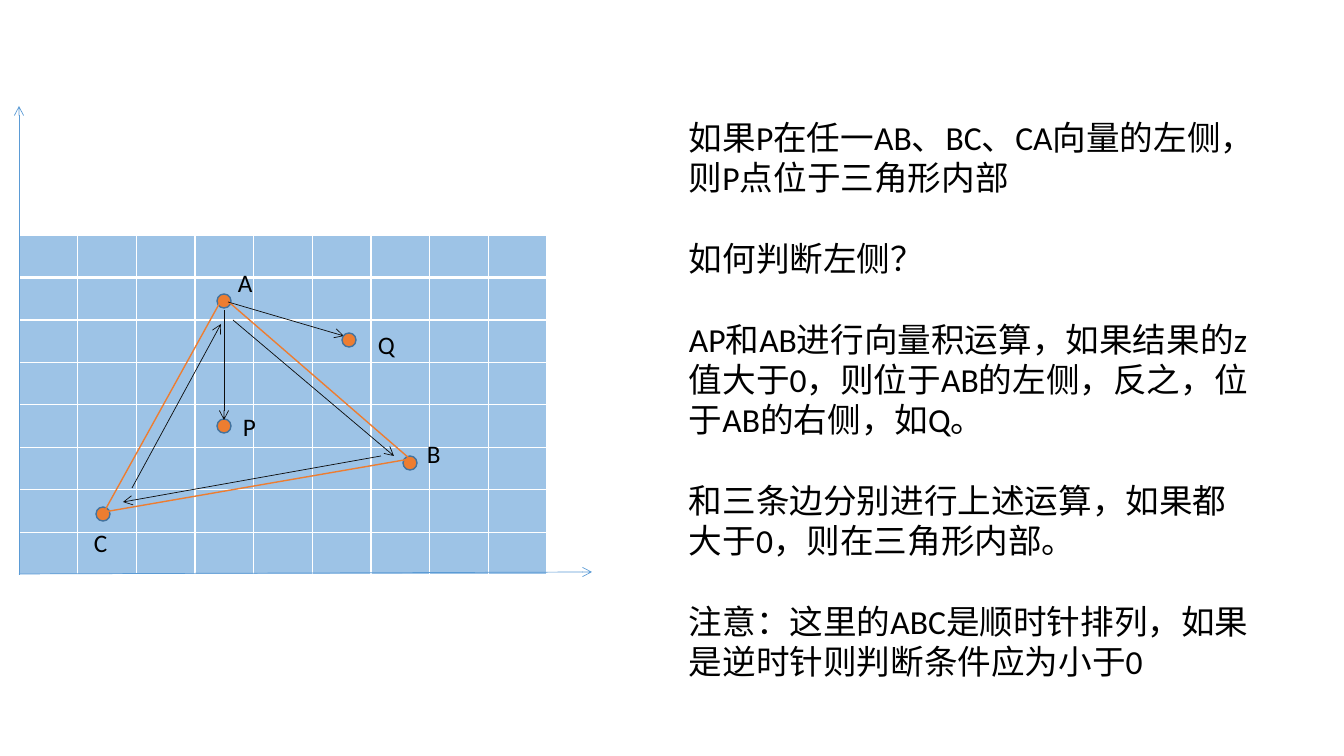
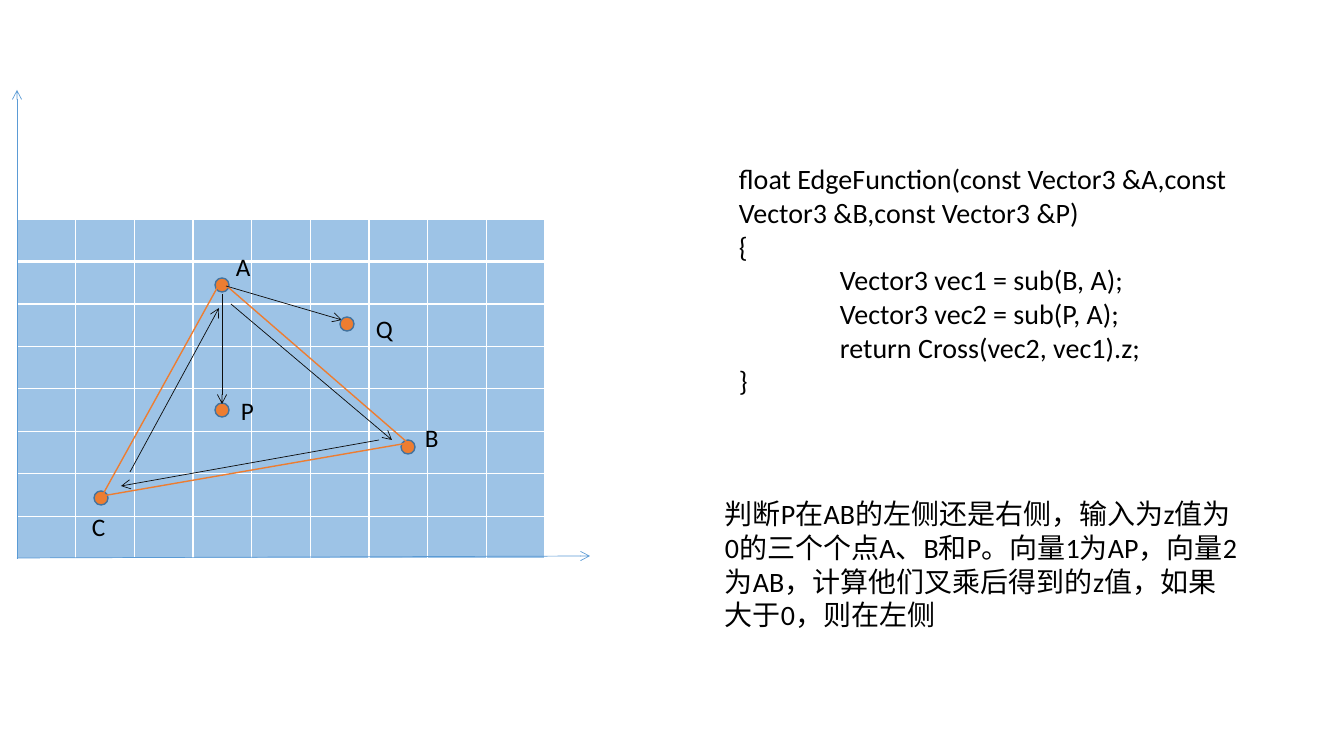
from dataclasses import dataclass

from lxml import etree
from pptx import Presentation
from pptx.dml.color import RGBColor
from pptx.enum.lang import MSO_LANGUAGE_ID
from pptx.enum.shapes import MSO_CONNECTOR, MSO_SHAPE
from pptx.enum.text import MSO_AUTO_SIZE
from pptx.oxml.ns import qn
from pptx.util import Pt

CHINESE = MSO_LANGUAGE_ID.SIMPLIFIED_CHINESE
STRAIGHT = MSO_CONNECTOR.STRAIGHT
OVAL = MSO_SHAPE.OVAL
FIT_TEXT = MSO_AUTO_SIZE.SHAPE_TO_FIT_TEXT

# Content: diagram lengths are pixels from the grid's top left corner
GRID_SIZE, COLS, ROWS = (528, 340), 9, 8
AXES = [((0, 339), (573, 337)), ((0, 340), (0, -129))]
POINTS = {  # name: dot centre, label corner
    "A": ((205, 66), (209, 27)),
    "B": ((391, 228), (398, 198)),
    "C": ((84, 279), (65, 287)),
    "P": ((205, 191), (214, 171)),
    "Q": ((330, 105), (349, 89)),
}
TRIANGLE = [(85, 277), (204, 62), (391, 224)]
VECTORS = [
    ((214, 85), (375, 221)),   # AB
    ((362, 221), (104, 267)),  # BC
    ((113, 253), (202, 89)),   # CA
    ((205, 75), (205, 185)),   # AP
    ((209, 67), (325, 101)),   # AQ
]
DOT = 14
LABEL_SIZE = (85, 40)
CODE_INDENT = 101

RULES = [
    "如果P在任一AB、BC、CA向量的左侧，则P点位于三角形内部",
    "如何判断左侧？",
    "AP和AB进行向量积运算，如果结果的z值大于0，则位于AB的左侧，反之，位于AB的右侧，如Q。",
    "和三条边分别进行上述运算，如果都大于0，则在三角形内部。",
    "注意：这里的ABC是顺时针排列，如果是逆时针则判断条件应为小于0",
]
CODE = [
    "float EdgeFunction(const Vector3 &A,const Vector3 &B,const Vector3 &P)",
    "{",
    ("Vector3 vec1 = sub(B, A);",),  # a tuple marks an indented line
    ("Vector3 vec2 = sub(P, A);",),
    ("return Cross(vec2, vec1).z;",),
    "}",
]
SUMMARY = [
    "判断P在AB的左侧还是右侧，输入为z值为0的三个个点A、B和P。"
    "向量1为AP，向量2为AB，计算他们叉乘后得到的z值，如果大于0，则在左侧",
]


@dataclass(frozen=True)
class Theme:
    font: str = "Calibri"
    text: str = "000000"
    grid: str = "9DC3E6"
    grid_line: str = "FFFFFF"
    axis: str = "5B9BD5"
    vector: str = "0D0D0D"
    accent: str = "ED7D31"
    dot_line: str = "43739E"
    label: float = 18
    rules: float = 24
    body: float = 20
    rule_gap: float = 28.8
    thin: float = 0.5
    normal: float = 1
    thick: float = 3


T = Theme()
SLIDES = [  # grid origin, text boxes (box, paragraphs, size, gap)
    ((19, 235), [((679, 112, 581, 580), RULES, T.rules, T.rule_gap)]),
    ((17, 219), [((729, 157, 510, 248), CODE, T.body, 0),
                 ((715, 492, 539, 146), SUMMARY, T.body, 0)]),
]


# Helpers
def px(*values):
    return [round(v * 914400 / 100.8) for v in values]


def rgb(color):
    return RGBColor.from_string(color)


def set_line(sp, color, width):
    sp.line.color.rgb = rgb(color)
    sp.line.width = Pt(width)


def add_text(slide, box, lines, size, gap=0):
    tf = slide.shapes.add_textbox(*px(*box)).text_frame
    tf.word_wrap = True
    tf.auto_size = FIT_TEXT
    style = {"name": T.font, "size": Pt(size), "language_id": CHINESE}
    for i, line in enumerate(lines):
        p = tf.paragraphs[0] if i == 0 else tf.add_paragraph()
        if i and gap:
            p.space_before = Pt(gap)
        if isinstance(line, tuple):
            p._p.get_or_add_pPr().set("marL", str(px(CODE_INDENT)[0]))
            line = line[0]
        r = p.add_run()
        r.text = line
        for name, value in style.items():
            setattr(r.font, name, value)
        r.font.color.rgb = rgb(T.text)


def add_arrow(slide, start, end, color):
    sp = slide.shapes.add_connector(STRAIGHT, *px(*start, *end))
    set_line(sp, color, T.thin)
    etree.SubElement(sp.line._get_or_add_ln(), qn("a:tailEnd"), type="arrow")
    etree.SubElement(sp._element.spPr, qn("a:effectLst"))


def add_dot(slide, center):
    x, y = center
    sp = slide.shapes.add_shape(
        OVAL, *px(x - DOT / 2, y - DOT / 2, DOT, DOT))
    sp.shadow.inherit = False
    sp.fill.solid()
    sp.fill.fore_color.rgb = rgb(T.accent)
    set_line(sp, T.dot_line, T.normal)


def set_border(cell, side, width):
    ln = etree.SubElement(cell._tc.get_or_add_tcPr(), qn("a:ln" + side),
                          w=str(Pt(width)))
    fill = etree.SubElement(ln, qn("a:solidFill"))
    etree.SubElement(fill, qn("a:srgbClr"), val=T.grid_line)


def add_grid(slide, origin):
    table = slide.shapes.add_table(ROWS, COLS, *px(*origin, *GRID_SIZE)).table
    table.first_row = table.horz_banding = False
    for col in table.columns:
        col.width = px(GRID_SIZE[0] / COLS)[0]
    for i, row in enumerate(table.rows):
        row.height = px(GRID_SIZE[1] / ROWS)[0]
        thick_side = {0: "B", 1: "T"}.get(i)
        for cell in row.cells:
            for side in "LRTB":
                set_border(cell, side,
                           T.thick if side == thick_side else T.normal)
            cell.fill.solid()
            cell.fill.fore_color.rgb = rgb(T.grid)


def add_triangle(slide, corners):
    first, *rest = [px(*c) for c in corners]
    builder = slide.shapes.build_freeform(*first)
    builder.add_line_segments(rest, close=True)
    sp = builder.convert_to_shape()
    sp.shadow.inherit = False
    sp.fill.background()
    set_line(sp, T.accent, T.normal)


def add_diagram(slide, origin):
    def at(point):
        return point[0] + origin[0], point[1] + origin[1]

    add_grid(slide, origin)
    for start, end in AXES:
        add_arrow(slide, at(start), at(end), T.axis)
    for name in "ABCP":
        add_dot(slide, at(POINTS[name][0]))
    add_triangle(slide, [at(c) for c in TRIANGLE])
    for start, end in VECTORS:
        add_arrow(slide, at(start), at(end), T.vector)
    add_dot(slide, at(POINTS["Q"][0]))  # covers the tip of AQ
    for name, (_, corner) in POINTS.items():
        add_text(slide, (*at(corner), *LABEL_SIZE), [name], T.label)


# Build
prs = Presentation()
prs.slide_width, prs.slide_height = px(1344, 756)
for origin, texts in SLIDES:
    s = prs.slides.add_slide(prs.slide_layouts[6])
    add_diagram(s, origin)
    for text in texts:
        add_text(s, *text)
prs.save("out.pptx")
